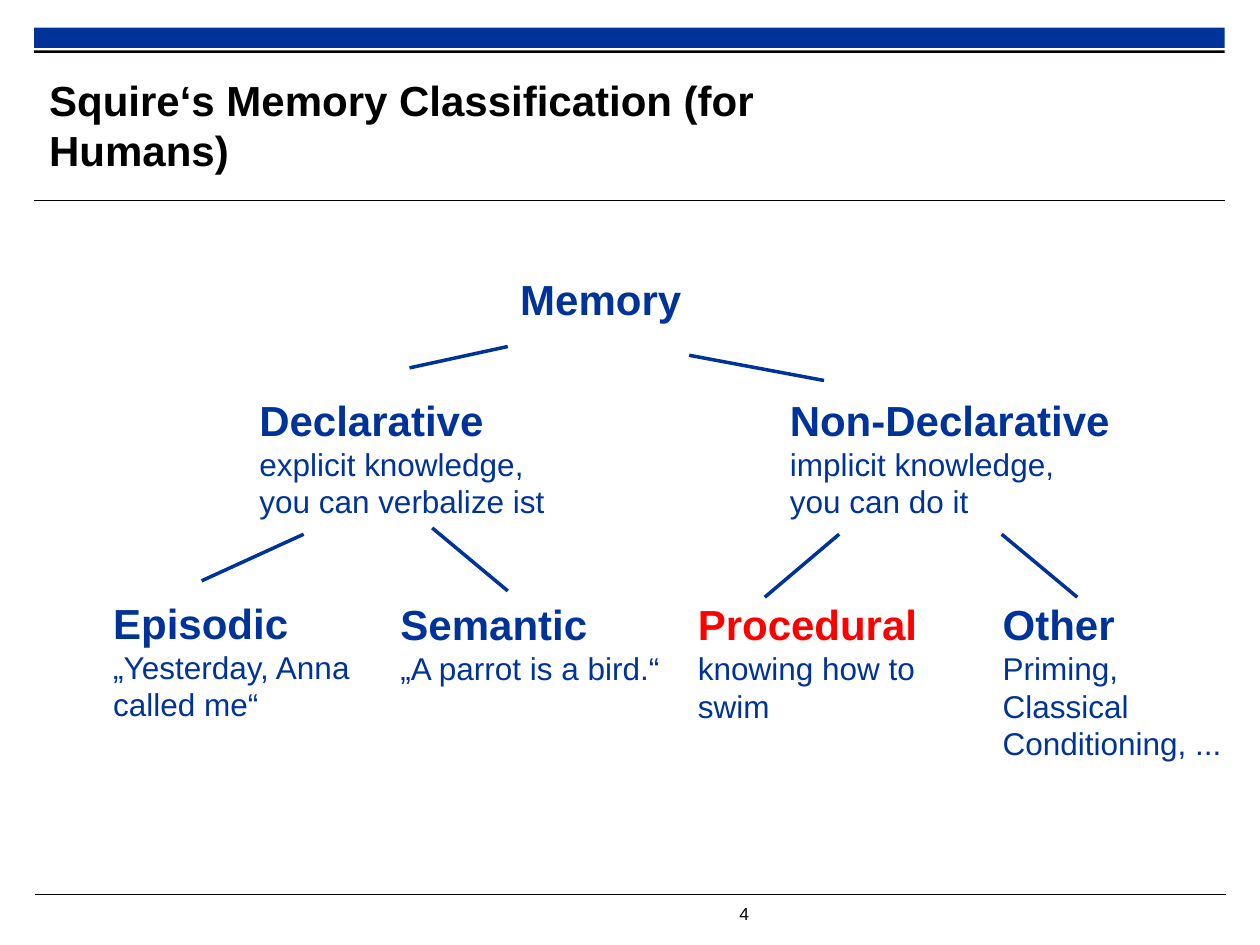
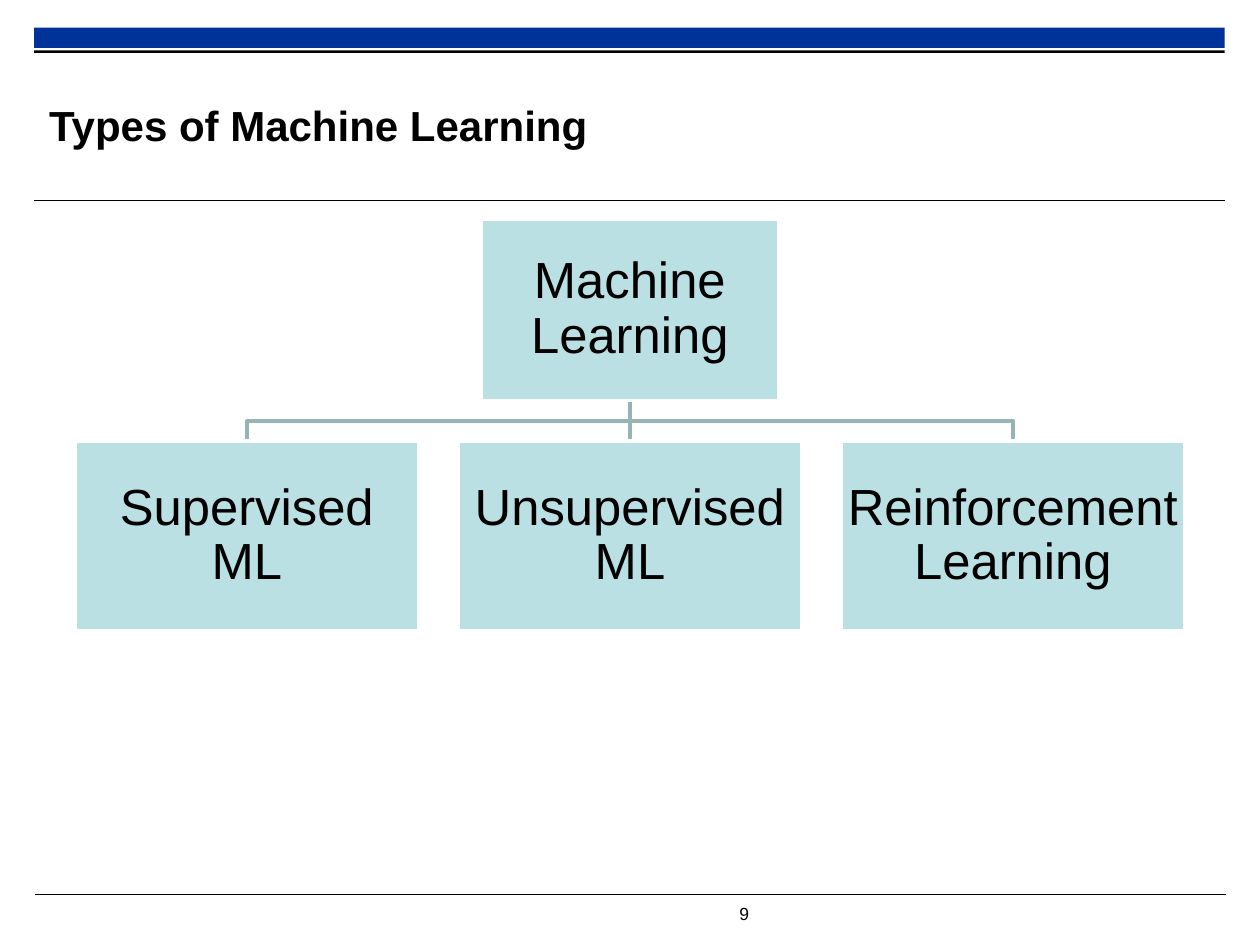
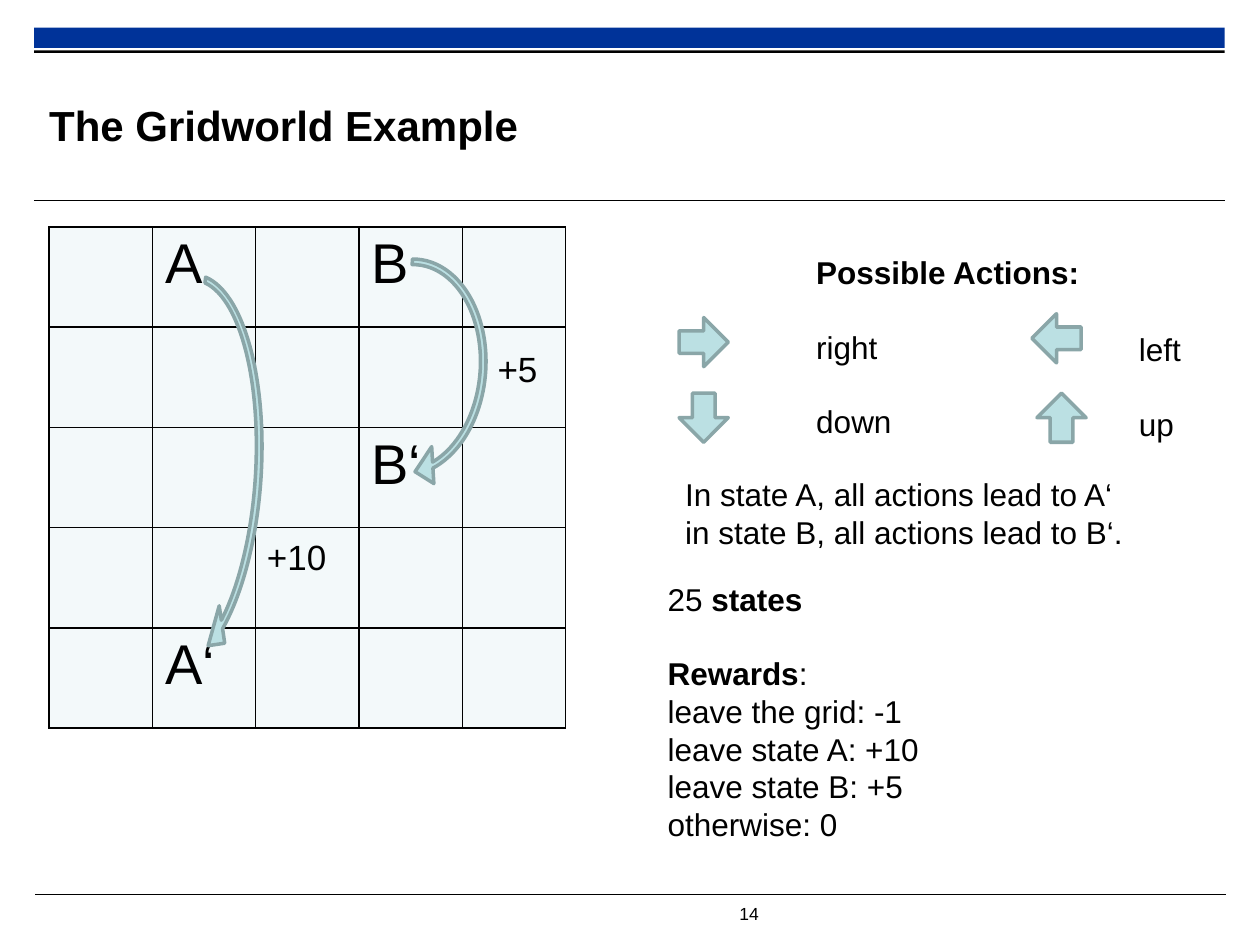
from collections import namedtuple
from dataclasses import dataclass

from pptx import Presentation
from pptx.dml.color import RGBColor
from pptx.enum.shapes import MSO_CONNECTOR, MSO_SHAPE
from pptx.enum.text import MSO_ANCHOR, PP_ALIGN
from pptx.oxml.xmlchemy import OxmlElement
from pptx.util import Pt

PX = 9144
FONT = "Arial"
COLORS = {
    "ink": "000000",
    "navy": "003399",
    "alert": "FF0000",
    "white": "FFFFFF",
    "aqua": "BBE0E3",
    "aqua_edge": "8AA6A8",
    "branch": "96B3B6",
    "cell": "F3F9FA",
}

Box = namedtuple("Box", "left top width height")


@dataclass
class Line:
    """One paragraph; the tail is a closing run of the opposite weight."""

    text: str
    size: int = 18
    color: str = "ink"
    bold: bool = False
    before: int = 0
    tail: str = ""


def rgb(name):
    """Return the named colour."""
    return RGBColor.from_string(COLORS[name])


def emu(*lengths):
    """Turn px lengths into EMU."""
    return [round(length * PX) for length in lengths]


def within(box, left, top, width, height):
    """Return a box placed relative to an outer box."""
    return Box(box.left + left, box.top + top, width, height)


def write(frame, lines, align=PP_ALIGN.LEFT, spacing=None):
    """Fill a text frame with lines."""
    frame.word_wrap = True
    for index, line in enumerate(lines):
        paragraph = frame.add_paragraph() if index else frame.paragraphs[0]
        paragraph.text = line.text
        paragraph.alignment = align
        paragraph.line_spacing = spacing
        paragraph.space_before = Pt(line.before)
        font = paragraph.font
        font.name, font.size, font.bold = FONT, Pt(line.size), line.bold
        font.color.rgb = rgb(line.color)
        if line.tail:
            tail = paragraph.add_run()
            tail.text = line.tail
            tail.font.bold = not line.bold


def set_margins(frame, margin):
    """Give a text frame equal insets and centre it vertically."""
    inset = margin * PX
    frame.margin_left = frame.margin_right = inset
    frame.margin_top = frame.margin_bottom = inset
    frame.vertical_anchor = MSO_ANCHOR.MIDDLE


def add_text(slide, box, lines):
    """Add a text box and return its frame."""
    frame = slide.shapes.add_textbox(*emu(*box)).text_frame
    write(frame, lines)
    return frame


def add_figure(slide, kind, box, fill, edge=None, turn=0, adjust=()):
    """Add a filled preset shape."""
    figure = slide.shapes.add_shape(kind, *emu(*box))
    figure.shadow.inherit = False
    figure.rotation = turn
    for index, value in enumerate(adjust):
        figure.adjustments[index] = value
    figure.fill.solid()
    figure.fill.fore_color.rgb = rgb(fill)
    if edge:
        figure.line.color.rgb = rgb(edge)
        figure.line.width = Pt(2)
    else:
        figure.line.fill.background()
    return figure


def add_rule(slide, ends, color, weight):
    """Add a straight line between two points."""
    rule = slide.shapes.add_connector(MSO_CONNECTOR.STRAIGHT, *emu(*ends))
    rule.line.color.rgb = rgb(color)
    rule.line.width = Pt(weight)
    rule._element.spPr.append(OxmlElement("a:effectLst"))


def add_page(deck, title, number):
    """Add a slide with band, rules, title and page number."""
    slide = deck.slides.add_slide(deck.slide_layouts[6])
    add_figure(slide, MSO_SHAPE.RECTANGLE, Box(27, 22, 945, 16), "navy")
    add_figure(slide, MSO_SHAPE.RECTANGLE, Box(27, 40, 945, 2), "ink")
    for left, top in ((27, 159), (28, 710)):
        add_rule(slide, (left, top, left + 945, top), "ink", 0.6)
    add_text(slide, Box(577, 712, 48, 27), [Line(str(number), 10)])
    heading = add_text(slide, Box(39, 53, 711, 92), [Line(title, 24, bold=True)])
    set_margins(heading, 0)
    return slide


def draw_memory_tree(slide, box):
    """Draw the memory classes and the branches between them."""
    classes = [
        ("Memory", "", 323, 0, 149, 50),
        ("Declarative", "explicit knowledge,\vyou can verbalize ist", 116, 96, 256, 111),
        ("Non-Declarative", "implicit knowledge,\vyou can do it", 537, 96, 277, 111),
        ("Episodic", "„Yesterday, Anna called me“", 0, 257, 208, 111),
        ("Semantic", "„A parrot is a bird.“", 228, 258, 228, 81),
        ("Procedural", "knowing how to swim", 464, 258, 206, 111),
        ("Other", "Priming,\vClassical\vConditioning, ...", 706, 258, 196, 141),
    ]
    for name, detail, *place in classes:
        color = "alert" if name == "Procedural" else "navy"
        lines = [Line(name, 24, color, bold=True)]
        if detail:
            lines.append(Line(detail, color="navy"))
        add_text(slide, within(box, *place), lines)
    branches = [
        (323, 63, 245, 80),
        (467, 70, 574, 90),
        (161, 212, 80, 249),
        (263, 207, 323, 257),
        (586, 212, 527, 262),
        (715, 212, 775, 262),
    ]
    for x1, y1, x2, y2 in branches:
        ends = (box.left + x1, box.top + y1, box.left + x2, box.top + y2)
        add_rule(slide, ends, "navy", 2)


def draw_topic(slide, box, name):
    """Draw one box of the learning hierarchy."""
    topic = add_figure(slide, MSO_SHAPE.RECTANGLE, box, "aqua", "white")
    set_margins(topic.text_frame, 2)
    write(topic.text_frame, [Line(name, 29)], PP_ALIGN.CENTER, 0.9)


def draw_learning_types(slide, box):
    """Draw machine learning above its three types."""
    types = ["Supervised ML", "Unsupervised ML", "Reinforcement Learning"]
    type_width, step = 272, 304
    center = box.left + box.width // 2
    root_end, bus, type_top = box.top + 144, box.top + 160, box.top + 176
    for side in (-step, step):
        corners = [(center, bus), (center + side, bus), (center + side, type_top)]
        builder = slide.shapes.build_freeform(center, root_end, scale=PX)
        builder.add_line_segments(corners, close=False)
        elbow = builder.convert_to_shape()
        elbow.shadow.inherit = False
        elbow.fill.background()
        elbow.line.color.rgb = rgb("branch")
        elbow.line.width = Pt(2)
    add_rule(slide, (center, root_end, center, type_top), "branch", 2)
    draw_topic(slide, Box(center - 118, box.top, 236, 144), "Machine Learning")
    for index, name in enumerate(types):
        place = within(box, index * step, 176, type_width, 151)
        draw_topic(slide, place, name)


def add_borders(cell):
    """Put a thin black line on all sides of a cell."""
    properties = cell._tc.get_or_add_tcPr()
    for index, side in enumerate(("a:lnL", "a:lnR", "a:lnT", "a:lnB")):
        border = OxmlElement(side)
        border.set("w", str(Pt(1)))
        fill = OxmlElement("a:solidFill")
        color = OxmlElement("a:srgbClr")
        color.set("val", COLORS["ink"])
        fill.append(color)
        border.append(fill)
        properties.insert(index, border)


def draw_gridworld(slide, box):
    """Draw the five by five grid with its two jumps."""
    states = {(0, 1): "A", (0, 3): "B", (2, 3): "B‘", (4, 1): "A‘"}
    size = 5
    grid = slide.shapes.add_table(size, size, *emu(*box)).table
    grid.first_row = grid.horz_banding = False
    for row in range(size):
        for column in range(size):
            cell = grid.cell(row, column)
            cell.fill.solid()
            cell.fill.fore_color.rgb = rgb("cell")
            add_borders(cell)
            if (row, column) in states:
                write(cell.text_frame, [Line(states[row, column], 32)])
    jumps = [
        ((187, 38, 197, 147), 94.4, (0.03, 6.19, 205.15, 106.45, 0.1)),
        ((-64, 120, 340, 150), 93.6, (0.03, 3.67, 205.15, 109.85, 0.1)),
    ]
    for place, turn, adjust in jumps:
        add_figure(slide, MSO_SHAPE.CIRCULAR_ARROW, within(box, *place),
                   "aqua", "aqua_edge", turn, adjust)
    for reward, *place in (("+5", 346, 91, 55, 44), ("+10", 163, 240, 70, 44)):
        add_text(slide, within(box, *place), [Line(reward, 20)])


def draw_rules(slide, box):
    """Draw the possible actions, the states and the rewards."""
    arrows = [(19, 56, 0), (19, 116, 90), (299, 53, 180), (303, 116, 270)]
    for left, top, turn in arrows:
        add_figure(slide, MSO_SHAPE.RIGHT_ARROW, within(box, left, top, 39, 39),
                   "aqua", "aqua_edge", turn, (0.46, 0.5))
    gap = 21
    add_text(slide, within(box, 118, 0, 236, 192), [
        Line("Possible Actions:", bold=True),
        Line("right", before=gap),
        Line("down", before=gap),
    ])
    add_text(slide, within(box, 374, 61, 90, 102),
             [Line("left"), Line("up", before=gap)])
    add_text(slide, within(box, 14, 176, 426, 71), [
        Line("In state A, all actions lead to A‘"),
        Line("in state B, all actions lead to B‘."),
    ])
    rewards = ["leave the grid: -1", "leave state A: +10",
               "leave state B: +5", "otherwise: 0"]
    add_text(slide, within(box, 0, 259, 354, 222), [
        Line("25 ", tail="states"),
        Line("Rewards", bold=True, before=gap, tail=":"),
        *map(Line, rewards),
    ])


def main():
    """Build the three slides."""
    deck = Presentation()
    deck.slide_width, deck.slide_height = emu(1000, 750)

    memory = add_page(deck, "Squire‘s Memory Classification (for Humans)", 4)
    draw_memory_tree(memory, Box(80, 212, 902, 399))

    learning = add_page(deck, "Types of Machine Learning", 9)
    draw_learning_types(learning, Box(60, 174, 880, 327))

    gridworld = add_page(deck, "The Gridworld Example", 14)
    draw_gridworld(gridworld, Box(39, 180, 410, 398))
    draw_rules(gridworld, Box(520, 196, 464, 481))

    deck.save("out.pptx")


if __name__ == "__main__":
    main()
